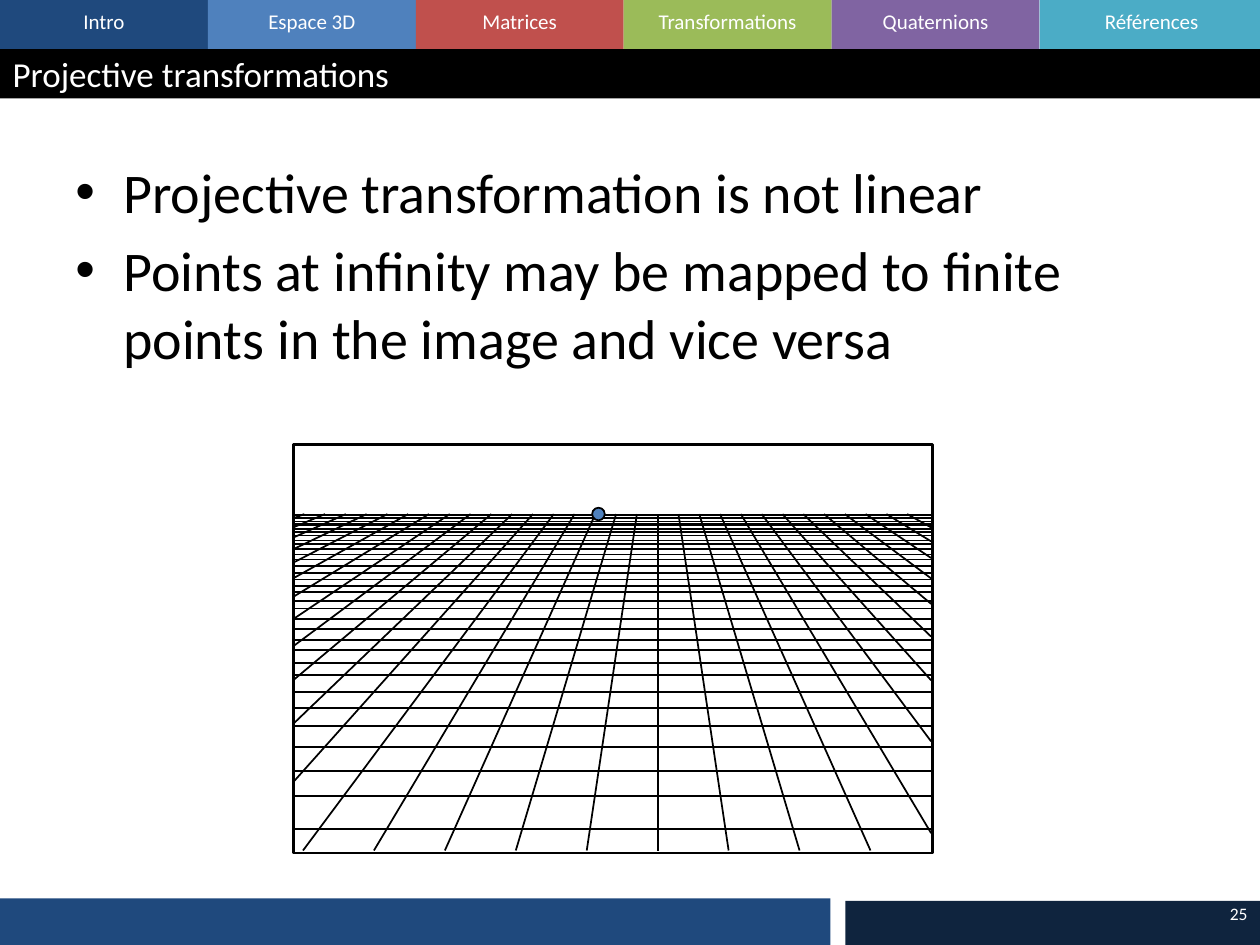
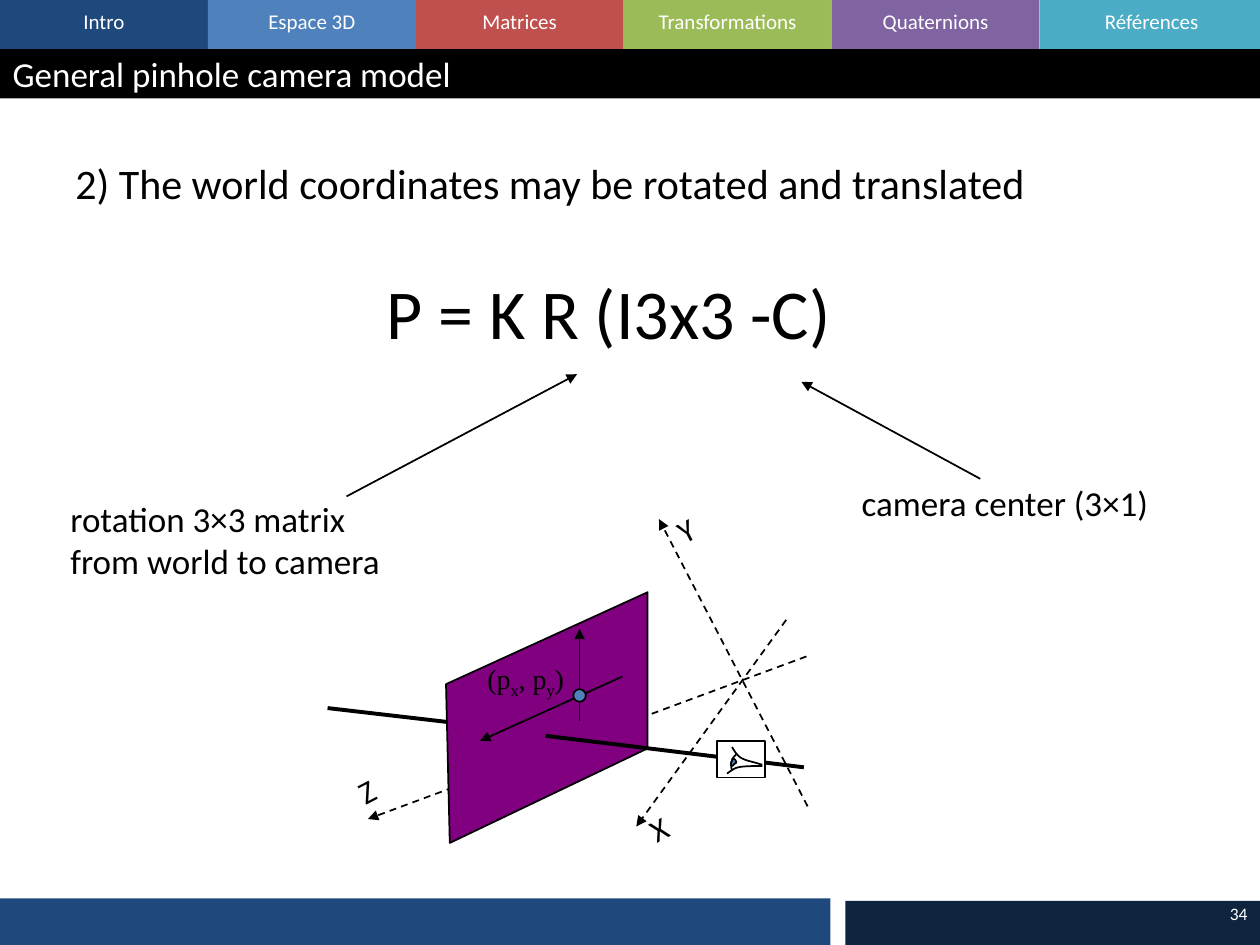
"""Build two lecture slides on projection and the pinhole camera."""
from dataclasses import dataclass, field
from typing import Any

from lxml.etree import SubElement
from pptx import Presentation
from pptx.dml.color import RGBColor
from pptx.enum.dml import MSO_LINE
from pptx.enum.shapes import MSO_CONNECTOR, MSO_SHAPE
from pptx.enum.text import MSO_ANCHOR, MSO_AUTO_SIZE, PP_ALIGN
from pptx.oxml.ns import qn
from pptx.shapes.base import BaseShape
from pptx.slide import Slide
from pptx.util import Inches, Pt

Spot = tuple[float, float]
Area = tuple[float, float, float, float]


@dataclass(frozen=True)
class Theme:
    font: str = "Calibri"
    serif: str = "Times New Roman"
    ink: str = "000000"
    paper: str = "FFFFFF"
    navy: str = "1F497D"
    night: str = "0F243E"
    blue: str = "4F81BD"
    plum: str = "800080"
    tiny: float = 10
    tab: float = 12
    math: float = 16
    axis: float = 18
    head: float = 20
    note: float = 24
    body: float = 32
    huge: float = 40
    thin: float = 1
    edge: float = 1.5
    thick: float = 2.25


LOOK = Theme()


@dataclass(frozen=True)
class Tab:
    name: str
    fill: str
    wide: float = 1.65


@dataclass(frozen=True)
class Text:
    area: Area
    lines: tuple[str, ...]
    size: float
    tone: str = LOOK.ink
    face: str = LOOK.font
    turn: float = 0
    frame: dict[str, Any] = field(default_factory=dict)
    para: dict[str, Any] = field(default_factory=dict)


@dataclass(frozen=True)
class Line:
    start: Spot
    end: Spot
    width: float = LOOK.thin
    dash: bool = False
    arrow: bool = False


@dataclass(frozen=True)
class Curve:
    start: Spot
    bends: tuple[tuple[Spot, Spot, Spot], ...]
    fill: str | None = None


TABS = (
    Tab("Intro", LOOK.navy), Tab("Espace 3D", LOOK.blue),
    Tab("Matrices", "C0504D"), Tab("Transformations", "9BBB59"),
    Tab("Quaternions", "8064A2"), Tab("Références", "4BACC6", 1.78),
)
FIT = {"word_wrap": False, "auto_size": MSO_AUTO_SIZE.SHAPE_TO_FIT_TEXT}
WRAP = {"word_wrap": True, "auto_size": MSO_AUTO_SIZE.NONE}
MIDDLE = WRAP | {"vertical_anchor": MSO_ANCHOR.MIDDLE}
BODY = (0.5, 1.2, 9, 5.5)
ROWS = (
    6.58, 6.32, 6.12, 5.93, 5.76, 5.62, 5.49, 5.36, 5.26, 5.16, 5.08,
    4.99, 4.91, 4.83, 4.77, 4.7, 4.65, 4.6, 4.55, 4.49, 4.44, 4.4,
    4.36, 4.32, 4.29, 4.25, 4.22, 4.2, 4.17, 4.16, 4.14, 4.11, 4.09,
)
EYE = (
    Curve((6.05, 6.07), (((5.99, 6.05), (5.93, 6.04), (5.89, 6.02)),
                         ((5.85, 6), (5.83, 5.96), (5.81, 5.93)))),
    Curve((6.05, 6.08), (((5.98, 6.08), (5.91, 6.08), (5.86, 6.09)),
                         ((5.82, 6.1), (5.8, 6.12), (5.77, 6.14)))),
    Curve((5.85, 5.98), (((5.83, 6), (5.81, 6.02), (5.81, 6.04)),
                         ((5.8, 6.06), (5.8, 6.09), (5.81, 6.11)))),
    Curve((5.82, 6.02), (((5.82, 6.02), (5.84, 6.03), (5.84, 6.04)),
                         ((5.85, 6.05), (5.84, 6.06), (5.83, 6.06)),
                         ((5.83, 6.07), (5.81, 6.08), (5.81, 6.08)),
                         ((5.8, 6.07), (5.8, 6.05), (5.81, 6.04)),
                         ((5.81, 6.04), (5.81, 6.02), (5.82, 6.02))),
          LOOK.blue),
)


def apply(item: Any, values: dict[str, Any]) -> None:
    """Set each named value on an item."""
    for name, value in values.items():
        setattr(item, name, value)


def paint(shape: Any, fill: str | None, width: float = 0) -> None:
    """Give a shape its fill and its outline."""
    shape.shadow.inherit = False
    if fill:
        shape.fill.solid()
        shape.fill.fore_color.rgb = RGBColor.from_string(fill)
    else:
        shape.fill.background()
    if width:
        shape.line.color.rgb = RGBColor.from_string(LOOK.ink)
        shape.line.width = Pt(width)
    else:
        shape.line.fill.background()


def block(slide: Slide, area: Area, fill: str | None, width: float = 0,
          kind: MSO_SHAPE = MSO_SHAPE.RECTANGLE) -> None:
    """Draw a preset shape."""
    paint(slide.shapes.add_shape(kind, *map(Inches, area)), fill, width)


def style(run: Any, text: Text) -> None:
    """Set the font of one run."""
    apply(run.font, {"name": text.face, "size": Pt(text.size)})
    run.font.color.rgb = RGBColor.from_string(text.tone)


def fill_in(shape: Any, text: Text) -> None:
    """Place a shape and write its lines."""
    names = ("left", "top", "width", "height")
    apply(shape, dict(zip(names, map(Inches, text.area))))
    apply(shape, {"rotation": text.turn})
    frame = shape.text_frame
    frame.text = "\n".join(text.lines)
    apply(frame, text.frame)
    for para in frame.paragraphs:
        apply(para, text.para)
        for run in para.runs:
            style(run, text)


def write(slide: Slide, text: Text) -> BaseShape:
    """Add a text box."""
    shape = slide.shapes.add_textbox(*map(Inches, text.area))
    fill_in(shape, text)
    return shape


def stroke(slide: Slide, line: Line) -> None:
    """Draw a straight line, with an arrow at its end if asked."""
    link = slide.shapes.add_connector(
        MSO_CONNECTOR.STRAIGHT, *map(Inches, line.start + line.end))
    link.line.color.rgb = RGBColor.from_string(LOOK.ink)
    link.line.width = Pt(line.width)
    if line.dash:
        link.line.dash_style = MSO_LINE.DASH
    props = link.element.spPr
    if line.arrow:
        SubElement(props.find(qn("a:ln")), qn("a:tailEnd"), type="triangle")
    SubElement(props, qn("a:effectLst"))


def outline(slide: Slide, spots: list[Spot], fill: str | None) -> None:
    """Draw a path through the spots, closed when it is filled."""
    first, *rest = [(Inches(x), Inches(y)) for x, y in spots]
    path = slide.shapes.build_freeform(*first)
    path.add_line_segments(rest, close=bool(fill))
    paint(path.convert_to_shape(), fill, LOOK.thin)


def trace(curve: Curve, steps: int = 8) -> list[Spot]:
    """Turn cubic bends into spots."""
    spots = [curve.start]
    for bend in curve.bends:
        knots = (spots[-1], *bend)
        for step in range(1, steps + 1):
            t = step / steps
            parts = ((1 - t) ** 3, 3 * t * (1 - t) ** 2, 3 * t * t * (1 - t), t ** 3)
            spots.append((sum(p * k[0] for p, k in zip(parts, knots)),
                          sum(p * k[1] for p, k in zip(parts, knots))))
    return spots


def body(slide: Slide, lines: tuple[str, ...], size: float, dots: bool) -> None:
    """Write the main text with a hanging indent."""
    shape = write(slide, Text(BODY, lines, size, frame=WRAP,
                              para={"space_before": Pt(size / 5)}))
    for props in shape.element.iter(qn("a:pPr")):
        props.set("marL", str(Inches(0.38)))
        props.set("indent", str(Inches(-0.38)))
        if dots:
            SubElement(props, qn("a:buFont"), typeface="Arial")
            SubElement(props, qn("a:buChar"), char="•")


def start(deck: Any, title: str, page: str) -> Slide:
    """Add a slide with its tabs, bands, page number and title."""
    slide = deck.slides.add_slide(deck.slide_layouts[5])
    for spot, tab in enumerate(TABS):
        left = 1.65 * spot
        block(slide, (left, 0, tab.wide, 0.39), tab.fill)
        write(slide, Text((left, 0.02, tab.wide, 0.3), (tab.name,), LOOK.tab,
                          LOOK.paper, frame=WRAP, para={"alignment": PP_ALIGN.CENTER}))
    block(slide, (0, 0.39, 10.04, 0.39), LOOK.ink)
    block(slide, (-0.01, 7.13, 6.6, 0.38), LOOK.navy)
    block(slide, (6.71, 7.15, 3.31, 0.38), LOOK.night)
    write(slide, Text((7.67, 7, 2.33, 0.5), (page,), LOOK.tiny, LOOK.paper,
                      frame=MIDDLE, para={"alignment": PP_ALIGN.RIGHT}))
    head = slide.shapes.title
    fill_in(head, Text((0, 0.39, 10.02, 0.39), (title,), LOOK.head, LOOK.paper,
                       frame=MIDDLE, para={"alignment": PP_ALIGN.LEFT}))
    slide.shapes.element.append(head.element)
    return slide


def floor(slide: Slide) -> None:
    """Draw the tiled plane that runs to the skyline."""
    left, right, sky, base, mid = 2.33, 7.39, 4.08, 6.75, 5.22
    for step in range(-17, 13):
        far, near = mid + 0.165 * step, mid + 0.563 * step
        end = min(max(near, left), right)
        part = (end - far) / (near - far) if step else 1
        stroke(slide, Line((end, sky + part * (base - sky)), (far, sky)))
    for row in ROWS:
        stroke(slide, Line((left, row), (right, row)))
    block(slide, (left, 3.53, 5.07, 3.24), None, LOOK.edge)
    block(slide, (4.7, 4.03, 0.1, 0.1), LOOK.blue, LOOK.thin, MSO_SHAPE.OVAL)


def label(slide: Slide, area: Area, lines: tuple[str, ...], size: float,
          turn: float = 0) -> None:
    """Write a label that does not wrap."""
    write(slide, Text(area, lines, size, turn=turn, frame=FIT))


def point(slide: Slide) -> None:
    """Write the name of the main point with lowered letters."""
    text = Text((3.77, 5.2, 0.84, 0.37), ("",), LOOK.math, face=LOOK.serif, frame=FIT)
    shape = write(slide, text)
    for part in ("(p", "x", ", p", "y", ")"):
        run = shape.text_frame.paragraphs[0].add_run()
        run.text = part
        style(run, text)
    for props in list(shape.element.iter(qn("a:rPr")))[1::2]:
        props.set("baseline", "-25000")


def scene(slide: Slide) -> None:
    """Draw the camera, its image plane and the world axes."""
    stroke(slide, Line((2.75, 3.94), (4.58, 2.97), arrow=True))
    label(slide, (0.46, 3.9, 2.81, 0.77),
          ("rotation 3×3 matrix ", "from world to camera"), LOOK.head)
    stroke(slide, Line((7.78, 3.8), (6.36, 3.03), arrow=True))
    label(slide, (6.74, 3.77, 2.7, 0.43), ("camera center (3×1)",), LOOK.head)
    for tail, tip in (((6.41, 6.4), (5.23, 4.12)), ((6.4, 5.21), (2.92, 6.5)),
                      ((6.24, 4.92), (5.05, 6.56))):
        stroke(slide, Line(tail, tip, dash=True, arrow=True))
    for name, left, top, wide in (("X", 5.06, 6.37, 0.37), ("Y", 5.28, 3.99, 0.37),
                                  ("Z", 2.75, 6.07, 0.35)):
        label(slide, (left, top, wide, 0.4), (name,), LOOK.axis, 332.6)
    outline(slide, [(3.57, 6.69), (5.14, 5.94), (5.14, 4.7), (3.54, 5.43)], LOOK.plum)
    stroke(slide, Line((4.33, 5.84), (6.38, 6.09), LOOK.thick))
    block(slide, (5.69, 5.88, 0.38, 0.29), LOOK.paper, LOOK.thin)
    for curve in EYE:
        outline(slide, trace(curve), curve.fill)
    stroke(slide, Line((4.6, 5.72), (4.6, 4.99), arrow=True))
    stroke(slide, Line((4.94, 5.37), (3.81, 5.88), arrow=True))
    block(slide, (4.55, 5.47, 0.1, 0.1), LOOK.blue, LOOK.thin, MSO_SHAPE.OVAL)
    point(slide)
    stroke(slide, Line((2.6, 5.62), (3.55, 5.73), LOOK.thick))
    label(slide, (2.97, 2.09, 3.77, 0.77), ("P = K R (I3x3 -C)",), LOOK.huge)


def main() -> None:
    """Build and save the deck."""
    deck = Presentation()
    apply(deck, {"slide_width": Inches(10), "slide_height": Inches(7.5)})
    slide = start(deck, "Projective transformations", "25")
    body(slide, ("Projective transformation is not linear ",
                 "Points at infinity may be mapped to finite points in the image "
                 "and vice versa"), LOOK.body, True)
    floor(slide)
    slide = start(deck, "General pinhole camera model", "34")
    body(slide, ("2) The world coordinates may be rotated and translated",),
         LOOK.note, False)
    scene(slide)
    deck.save("out.pptx")


main()
